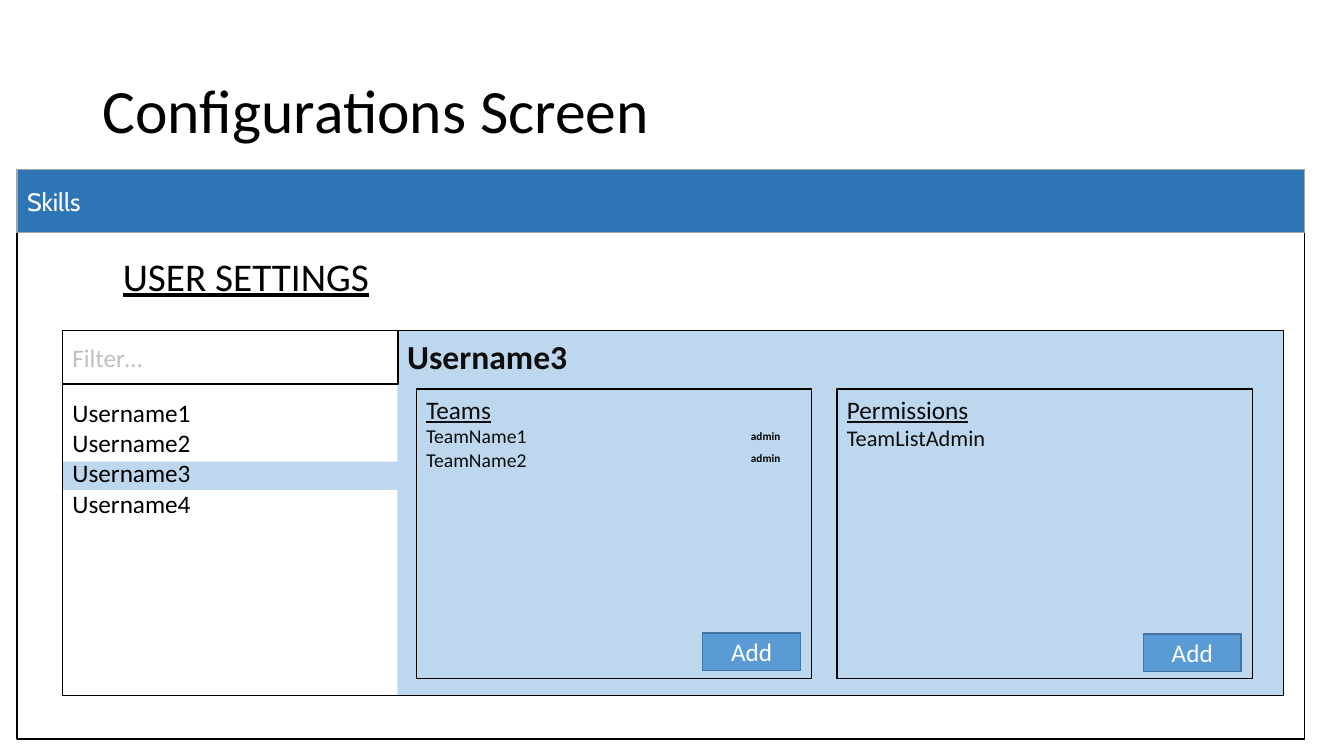
from pptx import Presentation
from pptx.dml.color import RGBColor
from pptx.enum.shapes import MSO_SHAPE as Shape
from pptx.enum.text import MSO_ANCHOR as Anchor, PP_ALIGN as Align
from pptx.util import Inches, Pt

COLORS = {
    "black": "000000", "ink": "0D0D0D", "white": "FFFFFF", "placeholder": "BFBFBF",
    "bar": "2E75B6", "bar_line": "A5A5A5", "selected": "BDD7EE",
    "button": "5B9BD5", "button_line": "43739E",
}


def color(name):
    """Return the named colour."""
    return RGBColor.from_string(COLORS[name])


def write(shape, lines, ink="black", font="Calibri", anchor=Anchor.TOP, align=Align.LEFT):
    """Fill a shape with lines given as (text, size, style)."""
    frame = shape.text_frame
    frame.word_wrap = True
    frame.vertical_anchor = anchor
    for index, (text, size, style) in enumerate(lines):
        paragraph = frame.add_paragraph() if index else frame.paragraphs[0]
        paragraph.alignment = align
        run = paragraph.add_run()
        run.text = text
        run.font.name = font
        run.font.size = Pt(size)
        run.font.bold = style == "bold"
        run.font.underline = style == "underline"
        run.font.color.rgb = color(ink)


def add_box(slide, left, top, width, height, fill=None, line=None):
    """Add a rectangle with an optional fill and outline."""
    shape = slide.shapes.add_shape(
        Shape.RECTANGLE, Inches(left), Inches(top), Inches(width), Inches(height))
    shape.shadow.inherit = False
    if fill:
        shape.fill.solid()
        shape.fill.fore_color.rgb = color(fill)
    else:
        shape.fill.background()
    if line:
        shape.line.color.rgb = color(line)
        shape.line.width = Pt(1)
    else:
        shape.line.fill.background()
    return shape


def add_label(slide, left, top, width, height, text, size, style=None, anchor=Anchor.TOP):
    """Add a one-line text box."""
    label = slide.shapes.add_textbox(
        Inches(left), Inches(top), Inches(width), Inches(height))
    write(label, [(text, size, style)], anchor=anchor)
    return label


def add_panel(slide, left, width, heading, items, size):
    """Add an outlined panel with an underlined heading and its items."""
    panel = add_box(slide, left, 3.86, width, 2.87, line="black")
    lines = [(heading, 18, "underline")] + [(item, size, None) for item in items]
    write(panel, lines, ink="ink")


def add_button(slide, left, top):
    """Add an Add button."""
    button = add_box(slide, left, top, 0.97, 0.37, "button", "button_line")
    write(button, [("Add", 18, None)], "white", anchor=Anchor.MIDDLE, align=Align.CENTER)


def add_window(slide):
    """Add the application window with its bar and heading."""
    add_box(slide, 0.17, 1.68, 12.77, 5.65, "white", "black")
    bar = add_box(slide, 0.17, 1.68, 12.77, 0.63, "bar", "bar_line")
    write(bar, [("Skills", 18, None)], "white", "Cabin", Anchor.MIDDLE)
    add_label(slide, 1.12, 2.45, 4.51, 0.57, "USER SETTINGS", 28, "underline")


def add_user_list(slide):
    """Add the user list, its selected row and the details area."""
    add_box(slide, 0.62, 4.58, 3.33, 0.28, "selected")
    details = add_box(slide, 3.94, 3.28, 8.79, 3.62, "selected")
    write(details, [("Username3", 24, "bold")], "ink")
    users = add_box(slide, 0.62, 3.28, 12.11, 3.62, line="black")
    users.text_frame.margin_top = Inches(0.66)
    write(users, [(f"Username{number}", 18, None) for number in range(1, 5)])


def main():
    """Build the slide and save it."""
    presentation = Presentation()
    presentation.slide_width = Inches(13.33)
    presentation.slide_height = Inches(7.5)
    slide = presentation.slides.add_slide(presentation.slide_layouts[6])

    title = add_label(
        slide, 0.92, 0.4, 11.5, 1.45, "Configurations Screen", 44, anchor=Anchor.MIDDLE)
    title.text_frame.paragraphs[0].line_spacing = 0.9
    add_window(slide)
    add_user_list(slide)
    add_panel(slide, 4.13, 3.92, "Teams", ["TeamName1", "TeamName2"], 14)
    add_panel(slide, 8.3, 4.12, "Permissions", ["TeamListAdmin"], 16)
    add_button(slide, 6.97, 6.28)
    add_button(slide, 11.34, 6.29)
    for top in (4.21, 4.43):
        add_label(slide, 7.35, top, 0.5, 0.24, "admin", 8, "bold")
    search = add_box(slide, 0.62, 3.28, 3.33, 0.53, "white", "black")
    write(search, [("Filter…", 18, None)], "placeholder", anchor=Anchor.MIDDLE)

    presentation.save("out.pptx")


if __name__ == "__main__":
    main()
